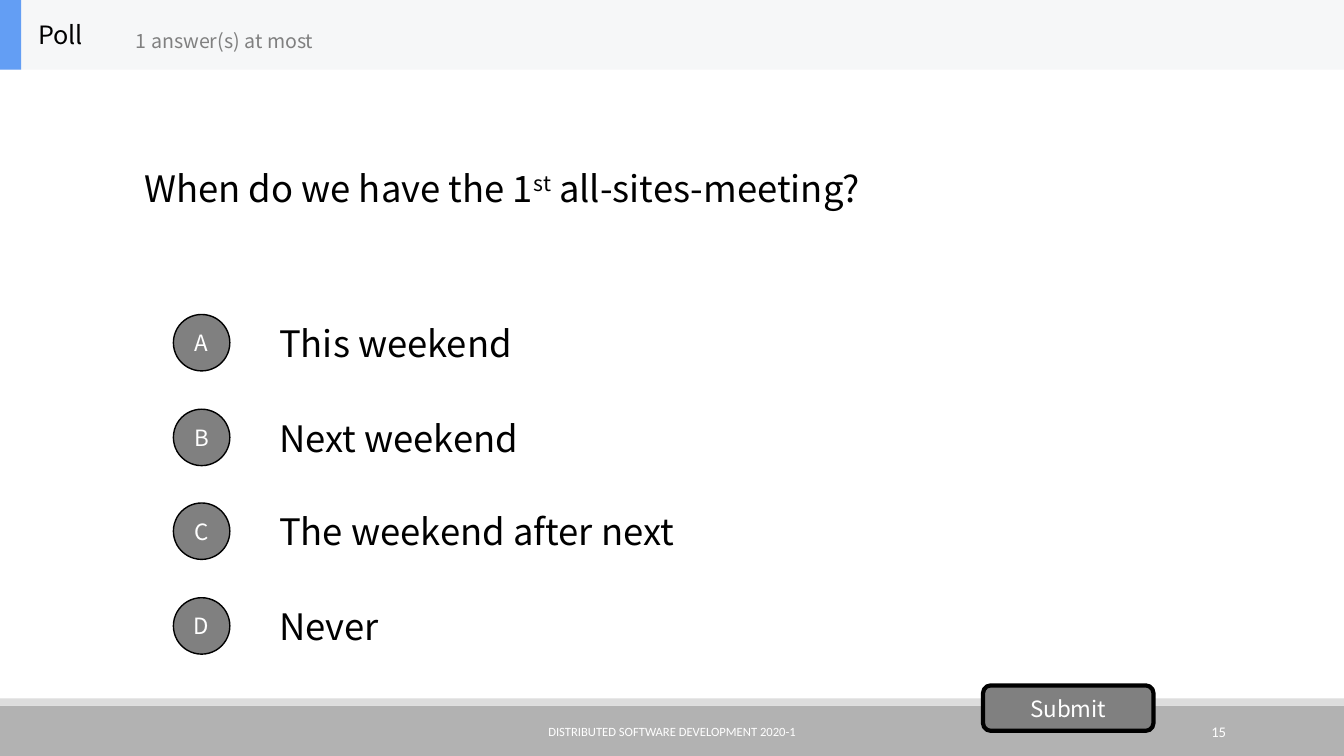
from pptx import Presentation, util as u
from pptx.dml.color import RGBColor
from pptx.enum import shapes, text

COLOURS = {"black": "000000", "white": "FFFFFF", "grey": "808080",
           "footer": "B2B2B2", "rule": "DDDDDD", "header": "F6F7F8", "accent": "639EF4"}
ANSWERS = ["This weekend", "Next weekend", "The weekend after next", "Never"]
FIRST_ANSWER_TOP, ANSWER_STEP = 3.05, 0.937
POLL_FONT, FOOTER_FONT = "Noto Sans CJK SC", "Calibri"
LEFT, CENTER, RIGHT = text.PP_ALIGN.LEFT, text.PP_ALIGN.CENTER, text.PP_ALIGN.RIGHT


def colour(name):
    return RGBColor.from_string(COLOURS[name])


class PollSlide:
    def __init__(self, deck):
        self.page = deck.slides.add_slide(deck.slide_layouts[5])

    def set_text(self, shape, spans, size, ink="black", align=LEFT, font=POLL_FONT):
        """Fill a shape with one paragraph of (words, baseline shift in percent) spans."""
        frame = shape.text_frame
        layout = {"word_wrap": True, "auto_size": text.MSO_AUTO_SIZE.NONE,
                  "vertical_anchor": text.MSO_ANCHOR.MIDDLE}
        for name, value in layout.items():
            setattr(frame, name, value)
        para = frame.paragraphs[0]
        para.alignment = align
        for words, shift in spans:
            span = para.add_run()
            span.text = words
            for name, value in {"name": font, "size": u.Pt(size), "bold": False}.items():
                setattr(span.font, name, value)
            span.font.color.rgb = colour(ink)
            if shift:
                span.font._element.set("baseline", str(shift * 1000))

    def title(self, place, spans, size):
        box = self.page.shapes.title
        for name, value in zip(("left", "top", "width", "height"), place):
            setattr(box, name, u.Inches(value))
        self.set_text(box, spans, size)

    def label(self, place, words, size, **style):
        box = self.page.shapes.add_textbox(*map(u.Inches, place))
        self.set_text(box, [(words, 0)], size, **style)
        return box

    def shape(self, kind, place, fill, line=0):
        """Draw a preset shape; line is the outline width in points, 0 for none."""
        shape = self.page.shapes.add_shape(kind, *map(u.Inches, place))
        shape.shadow.inherit = False
        shape.fill.solid()
        shape.fill.fore_color.rgb = colour(fill)
        if line:
            shape.line.color.rgb = colour("black")
            shape.line.width = u.Pt(line)
        else:
            shape.line.fill.background()
        return shape

    def bar(self, place, fill):
        return self.shape(shapes.MSO_SHAPE.RECTANGLE, place, fill)

    def button(self, kind, place, words, line):
        button = self.shape(kind, place, "grey", line)
        for side in ("left", "top", "right", "bottom"):
            setattr(button.text_frame, f"margin_{side}", 0)
        self.set_text(button, [(words, 0)], 16, "white", CENTER)

    def group(self, members):
        self.page.shapes.add_group_shape(members)


def main():
    deck = Presentation()
    deck.slide_width, deck.slide_height = u.Inches(13.33), u.Inches(7.5)
    poll = PollSlide(deck)

    poll.bar((0, 7, 13.33, 0.5), "footer")
    poll.bar((0, 6.93, 13.33, 0.07), "rule")
    poll.label((4.03, 7.06, 5.27, 0.4), "DISTRIBUTED SOFTWARE DEVELOPMENT 2020-1", 9,
               ink="white", align=CENTER, font=FOOTER_FONT)
    poll.label((10.83, 7.06, 1.43, 0.4), "15", 10.5,
               ink="white", align=RIGHT, font=FOOTER_FONT)

    poll.title((1.33, 0.69, 10.67, 2.34),
               [("When do we have the 1", 0), ("st", 30), (" all-sites-meeting?", 0)], 26)

    for index, (letter, answer) in enumerate(zip("ABCD", ANSWERS)):
        top = round(FIRST_ANSWER_TOP + index * ANSWER_STEP, 2)
        poll.label((2.67, top, 9.33, 0.7), answer, 26)
        poll.button(shapes.MSO_SHAPE.OVAL, (1.72, top + 0.07, 0.56, 0.56), letter, 1)
    poll.button(shapes.MSO_SHAPE.ROUNDED_RECTANGLE, (9.75, 6.8, 1.69, 0.45), "Submit", 3)

    poll.group([
        poll.bar((0, 0, 13.33, 0.69), "header"),
        poll.bar((0, 0, 0.21, 0.69), "accent"),
        poll.label((0.28, 0, 2.08, 0.69), "Poll", 18),
        poll.label((1.25, 0.12, 2.5, 0.56), "1 answer(s) at most", 14, ink="grey"),
    ])
    deck.save("out.pptx")


if __name__ == "__main__":
    main()
